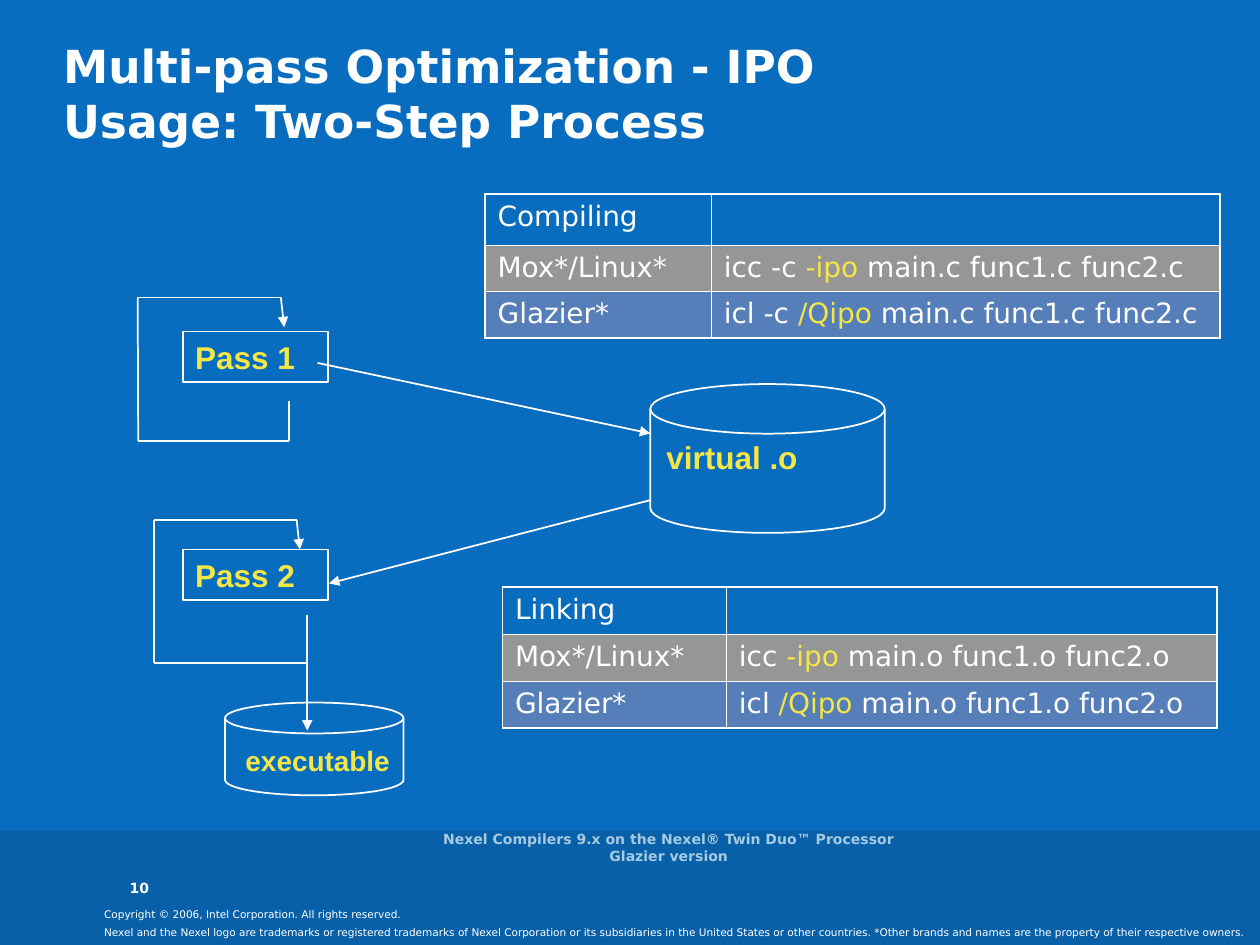
"""Build the slide on the two-step usage of multi-pass optimization."""
import pptx
import pptx.dml.color
import pptx.enum.shapes
import pptx.enum.text
import pptx.oxml.ns
import pptx.util
from lxml import etree

Pt = pptx.util.Pt
qn = pptx.oxml.ns.qn
SHAPES = pptx.enum.shapes.MSO_SHAPE
ANCHOR = pptx.enum.text.MSO_ANCHOR
ALIGN = pptx.enum.text.PP_ALIGN
COLORS = {
    "background": "096DBF",
    "band": "0860A8",
    "white": "FFFFFF",
    "yellow": "F5E647",
    "gray": "969696",
    "blue": "567EB9",
    "footer": "A6CAE1",
}


def rgb(name):
    return pptx.dml.color.RGBColor.from_string(COLORS[name])


def add_runs(paragraph, runs, size, font="DejaVu Sans", bold=False):
    for text, color in runs:
        run = paragraph.add_run()
        run.text = text
        run.font.name = font
        run.font.size = Pt(size)
        run.font.bold = bold
        run.font.color.rgb = rgb(color)


presentation = pptx.Presentation()
presentation.slide_width = Pt(720)
presentation.slide_height = Pt(540)
slide = presentation.slides.add_slide(presentation.slide_layouts[6])
slide.background.fill.solid()
slide.background.fill.fore_color.rgb = rgb("background")

band = slide.shapes.add_shape(SHAPES.RECTANGLE, Pt(0), Pt(474.5), Pt(720), Pt(65.5))
band.shadow.inherit = False
band.fill.solid()
band.fill.fore_color.rgb = rgb("band")
band.line.fill.background()

title = slide.shapes.add_textbox(Pt(36), Pt(21.8), Pt(649), Pt(70))
title_frame = title.text_frame
title_frame.word_wrap = True
title_frame.margin_left = title_frame.margin_right = 0
title_frame.margin_top = title_frame.margin_bottom = 0
title_paragraph = title_frame.paragraphs[0]
add_runs(title_paragraph, [("Multi-pass Optimization - IPO", "white")], 26, bold=True)
title_paragraph.add_line_break()
add_runs(title_paragraph, [("Usage: Two-Step Process", "white")], 26, bold=True)

commands = [
    ("Compiling", 277.2, 111, (129.3, 290.6), (29.2, 26.4, 26.4), " -c ", " main.c func1.c func2.c"),
    ("Linking", 287.1, 335.5, (128, 280.5), (26.8, 26.8, 26.8), " ", " main.o func1.o func2.o"),
]
for step, left, top, widths, heights, option, files in commands:
    frame = slide.shapes.add_table(3, 2, Pt(left), Pt(top), Pt(sum(widths)), Pt(sum(heights)))
    table = frame.table
    table.first_row = False
    table.horz_banding = False
    for column, width in zip(table.columns, widths):
        column.width = Pt(width)
    rows = [
        (step, [("", "white")], None),
        ("Mox*/Linux*", [("icc" + option, "white"), ("-ipo", "yellow"), (files, "white")], "gray"),
        ("Glazier*", [("icl" + option, "white"), ("/Qipo", "yellow"), (files, "white")], "blue"),
    ]
    for row_index, (label, command, fill) in enumerate(rows):
        table.rows[row_index].height = Pt(heights[row_index])
        for column_index, runs in enumerate([[(label, "white")], command]):
            cell = table.cell(row_index, column_index)
            cell.margin_left = cell.margin_right = Pt(7.2)
            cell.margin_top = cell.margin_bottom = Pt(3.6)
            paragraph = cell.text_frame.paragraphs[0]
            paragraph.font.size = Pt(16)
            add_runs(paragraph, [run for run in runs if run[0]], 16)
            outer = {
                "L": column_index == 0,
                "R": column_index == 1,
                "T": row_index == 0,
                "B": row_index == 2,
            }
            properties = cell._tc.get_or_add_tcPr()
            for side, is_outer in outer.items():
                width = Pt(1.08 if is_outer else 0.45)
                border = etree.SubElement(properties, qn("a:ln" + side), w=str(width))
                solid = etree.SubElement(border, qn("a:solidFill"))
                etree.SubElement(solid, qn("a:srgbClr"), val=COLORS["white"])
            if fill:
                cell.fill.solid()
                cell.fill.fore_color.rgb = rgb(fill)
            else:
                cell.fill.background()

outlines = [
    (SHAPES.RECTANGLE, 104.4, 189.5, 83, 29, "Pass 1"),
    (SHAPES.RECTANGLE, 104.4, 314, 83, 29, "Pass 2"),
    (SHAPES.FLOWCHART_MAGNETIC_DISK, 371.6, 219.5, 134, 85, ""),
    (SHAPES.FLOWCHART_MAGNETIC_DISK, 128.6, 401.5, 102, 53, ""),
]
for kind, left, top, width, height, label in outlines:
    shape = slide.shapes.add_shape(kind, Pt(left), Pt(top), Pt(width), Pt(height))
    shape.shadow.inherit = False
    shape.fill.background()
    shape.line.color.rgb = rgb("white")
    shape.line.width = Pt(1)
    if label:
        shape.text_frame.vertical_anchor = ANCHOR.TOP
        paragraph = shape.text_frame.paragraphs[0]
        paragraph.alignment = ALIGN.LEFT
        add_runs(paragraph, [(label, "yellow")], 18, "Arial", True)

lines = [
    (181.5, 207.4, 371.6, 247.7, True),
    (371.6, 285.8, 188, 333.4, True),
    (165, 229, 165, 252, False),
    (165, 252, 79, 252, False),
    (79, 252, 78.7, 170, False),
    (78.7, 170, 160.5, 170, False),
    (160.5, 170, 162.4, 187, True),
    (175.6, 351.4, 175.6, 417.5, True),
    (176, 379, 88, 379, False),
    (88, 379, 88, 297, False),
    (88, 297, 169.5, 297, False),
    (169.5, 297, 171.4, 314, True),
]
for start_x, start_y, end_x, end_y, has_arrow in lines:
    connector = slide.shapes.add_connector(
        pptx.enum.shapes.MSO_CONNECTOR.STRAIGHT, Pt(start_x), Pt(start_y), Pt(end_x), Pt(end_y)
    )
    connector.line.color.rgb = rgb("white")
    connector.line.width = Pt(1)
    properties = connector.element.find(qn("p:spPr"))
    if has_arrow:
        etree.SubElement(properties.find(qn("a:ln")), qn("a:tailEnd"), type="triangle")
    etree.SubElement(properties, qn("a:effectLst"))

copyright_line = "Copyright © 2006, Intel Corporation. All rights reserved."
trademark_line = (
    "Nexel and the Nexel logo are trademarks or registered trademarks of Nexel Corporation "
    "or its subsidiaries in the United States or other countries. "
    "*Other brands and names are the property of their respective owners."
)
footer = "Nexel Compilers 9.x on the Nexel® Twin Duo™ Processor Glazier version"
captions = [
    ("virtual .o", 373.7, 247, 94, 29, 18, "Arial", True, "yellow", ANCHOR.TOP, ALIGN.LEFT),
    ("executable", 133.2, 421.2, 97, 26, 16, "Arial", True, "yellow", ANCHOR.TOP, ALIGN.LEFT),
    (copyright_line, 52.4, 515.3, 519, 14, 6, "DejaVu Sans", False, "white", ANCHOR.TOP, ALIGN.LEFT),
    (trademark_line, 52.4, 525.6, 667, 14, 6, "DejaVu Sans", False, "white", ANCHOR.TOP, ALIGN.LEFT),
    (footer, 243, 472.3, 278.4, 24, 8, "DejaVu Sans", True, "footer", ANCHOR.MIDDLE, ALIGN.CENTER),
    ("10", 67, 491.5, 40, 24, 8, "DejaVu Sans", True, "white", ANCHOR.BOTTOM, ALIGN.LEFT),
]
for text, left, top, width, height, size, font, bold, color, anchor, alignment in captions:
    caption = slide.shapes.add_textbox(Pt(left), Pt(top), Pt(width), Pt(height))
    caption.text_frame.word_wrap = text == footer
    caption.text_frame.vertical_anchor = anchor
    paragraph = caption.text_frame.paragraphs[0]
    paragraph.alignment = alignment
    add_runs(paragraph, [(text, color)], size, font, bold)

presentation.save("out.pptx")
